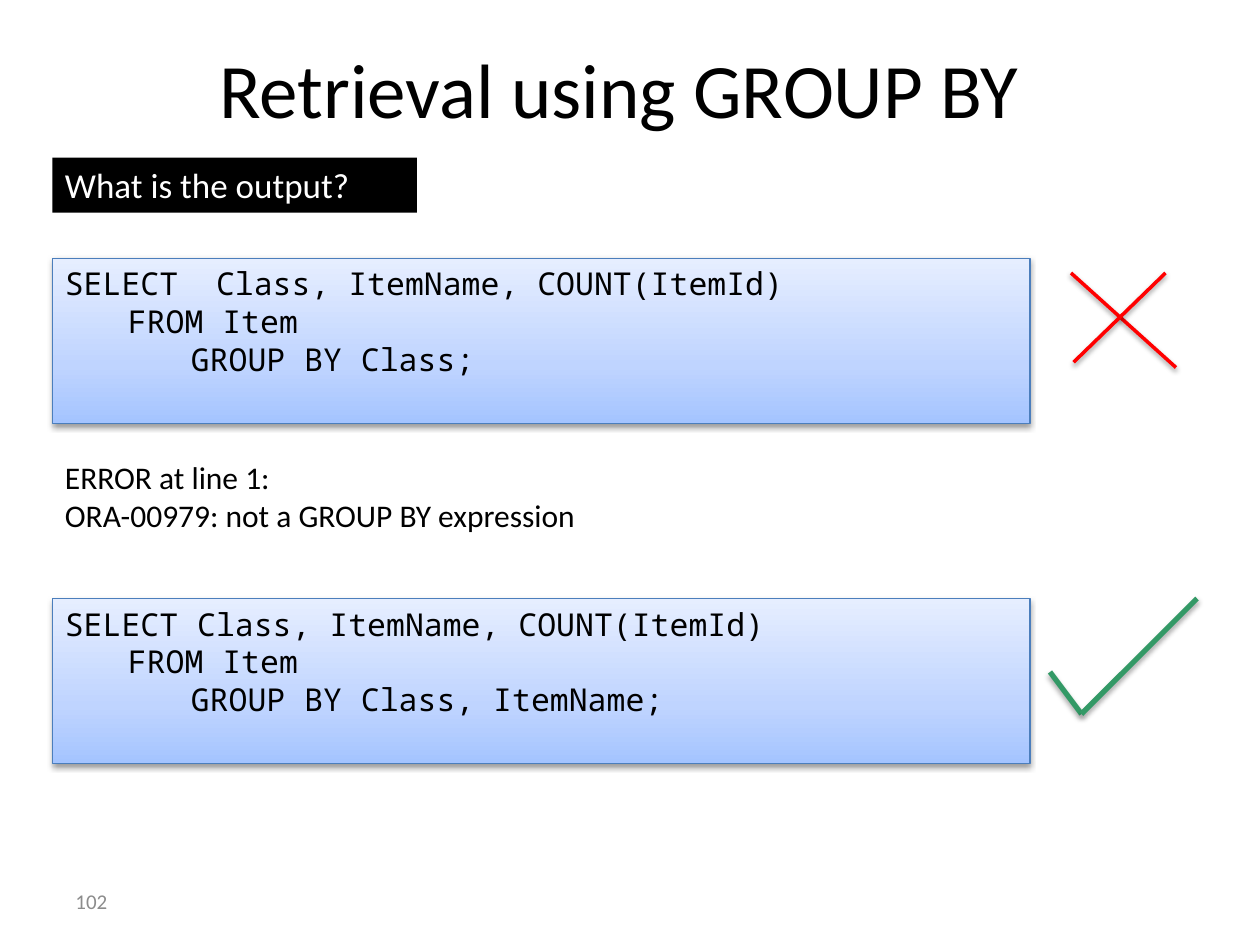
from dataclasses import dataclass

from lxml.etree import SubElement
from pptx import Presentation
from pptx.dml.color import RGBColor
from pptx.enum.shapes import MSO_CONNECTOR, MSO_SHAPE
from pptx.enum.text import MSO_ANCHOR, PP_ALIGN
from pptx.oxml.ns import qn
from pptx.util import Inches, Pt

UNIT = Inches(10) // 120  # the slide is a grid of 120 columns by 90 rows
LEFT = 5
SANS, MONO = "Calibri", "Noto Sans Mono"
STOPS = ((0, "A4C4FF"), (35, "BFD4FF"), (100, "E6EEFF"))


@dataclass
class Label:
    box: tuple[float, float, float, float]
    lines: list[str]
    size: int
    color: str = "000000"
    font: str = SANS
    fill: str = ""
    align: PP_ALIGN = PP_ALIGN.LEFT
    anchor: MSO_ANCHOR = MSO_ANCHOR.TOP
    wrap: bool = True
    inset: float = 0.1


@dataclass
class Query:
    top: float
    lines: list[str]


@dataclass
class Mark:
    color: str
    width: float
    alpha: int
    dist: float
    strokes: list[tuple[float, float, float, float]]


LABELS = [
    Label((3.2, 3, 112.7, 10.7), ["Retrieval using GROUP BY"], 44,
          align=PP_ALIGN.CENTER, anchor=MSO_ANCHOR.MIDDLE, inset=0),
    Label((LEFT, 15, 34.7, 5.25), ["What is the output?"], 20,
          color="FFFFFF", fill="000000", wrap=False),
    Label((LEFT, 43, 75, 8.5),
          ["ERROR at line 1:", "ORA-00979: not a GROUP BY expression"], 18),
    Label((6, 83.4, 28, 4.8), ["102"], 12, color="8C8C8C",
          anchor=MSO_ANCHOR.MIDDLE),
]
QUERIES = [
    Query(24.6, ["SELECT  Class, ItemName, COUNT(ItemId)",
                 "\tFROM Item", "\t\tGROUP BY Class;"]),
    Query(57, ["SELECT Class, ItemName, COUNT(ItemId)",
               "\tFROM Item", "\t\tGROUP BY Class, ItemName;"]),
]
MARKS = [
    Mark("FF0000", 2, 38, 1.6,
         [(102, 26, 112, 35), (111, 26, 102.25, 34.5)]),
    Mark("339966", 3, 35, 1.8,
         [(100, 64, 103, 68), (103, 68, 114, 57)]),
]


def rgb(code: str) -> RGBColor:
    return RGBColor.from_string(code)


def grid(cells: tuple) -> list[int]:
    return [round(cell * UNIT) for cell in cells]


def add(parent, tag: str, **attrs):
    return SubElement(parent, qn(tag), {k: str(v) for k, v in attrs.items()})


def shade(shape, alpha: int = 38, dist: float = 1.6) -> None:
    """Cast a soft black shadow straight down."""
    effects = add(shape._element.spPr, "a:effectLst")
    outer = add(effects, "a:outerShdw", blurRad=Pt(3.1), dist=Pt(dist),
                dir=90 * 60000, rotWithShape=0)
    color = add(outer, "a:srgbClr", val="000000")
    add(color, "a:alpha", val=alpha * 1000)


def blend(shape) -> None:
    """Fill with the three-stop gradient, darkest at the bottom."""
    shape.fill.gradient()
    shape.fill.gradient_angle = 90
    stops = shape._element.spPr.find(qn("a:gradFill")).find(qn("a:gsLst"))
    stops.clear()
    for place, code in STOPS:
        stop = add(stops, "a:gs", pos=place * 1000)
        add(stop, "a:srgbClr", val=code)


def write(shape, label: Label) -> None:
    frame = shape.text_frame
    form = {"word_wrap": label.wrap, "vertical_anchor": label.anchor,
            "margin_left": Inches(label.inset), "margin_right": Inches(0.1),
            "margin_top": Inches(0.05), "margin_bottom": Inches(0.05)}
    for name, value in form.items():
        setattr(frame, name, value)
    for i, line in enumerate(label.lines):
        para = frame.add_paragraph() if i else frame.paragraphs[0]
        para.alignment = label.align
        run = para.add_run()
        run.text = line
        run.font.name = label.font
        run.font.size = Pt(label.size)
        run.font.color.rgb = rgb(label.color)


def draw_label(slide, label: Label) -> None:
    box = slide.shapes.add_textbox(*grid(label.box))
    if label.fill:
        box.fill.solid()
        box.fill.fore_color.rgb = rgb(label.fill)
    write(box, label)


def draw_query(slide, query: Query) -> None:
    cells = (LEFT, query.top, 93.1, 15.75)
    panel = slide.shapes.add_shape(MSO_SHAPE.RECTANGLE, *grid(cells))
    blend(panel)
    panel.line.color.rgb = rgb("4B7EBC")
    panel.line.width = Pt(0.75)
    shade(panel)
    write(panel, Label(cells, query.lines, 18, font=MONO))


def draw_mark(slide, mark: Mark) -> None:
    group = slide.shapes.add_group_shape()
    for stroke in mark.strokes:
        line = group.shapes.add_connector(MSO_CONNECTOR.STRAIGHT,
                                          *grid(stroke))
        line.line.color.rgb = rgb(mark.color)
        line.line.width = Pt(mark.width)
        shade(line, mark.alpha, mark.dist)


def main() -> None:
    deck = Presentation()
    deck.slide_width, deck.slide_height = 120 * UNIT, 90 * UNIT
    slide = deck.slides.add_slide(deck.slide_layouts[6])
    for query in QUERIES:
        draw_query(slide, query)
    for mark in MARKS:
        draw_mark(slide, mark)
    for label in LABELS:
        draw_label(slide, label)
    deck.save("out.pptx")


if __name__ == "__main__":
    main()
